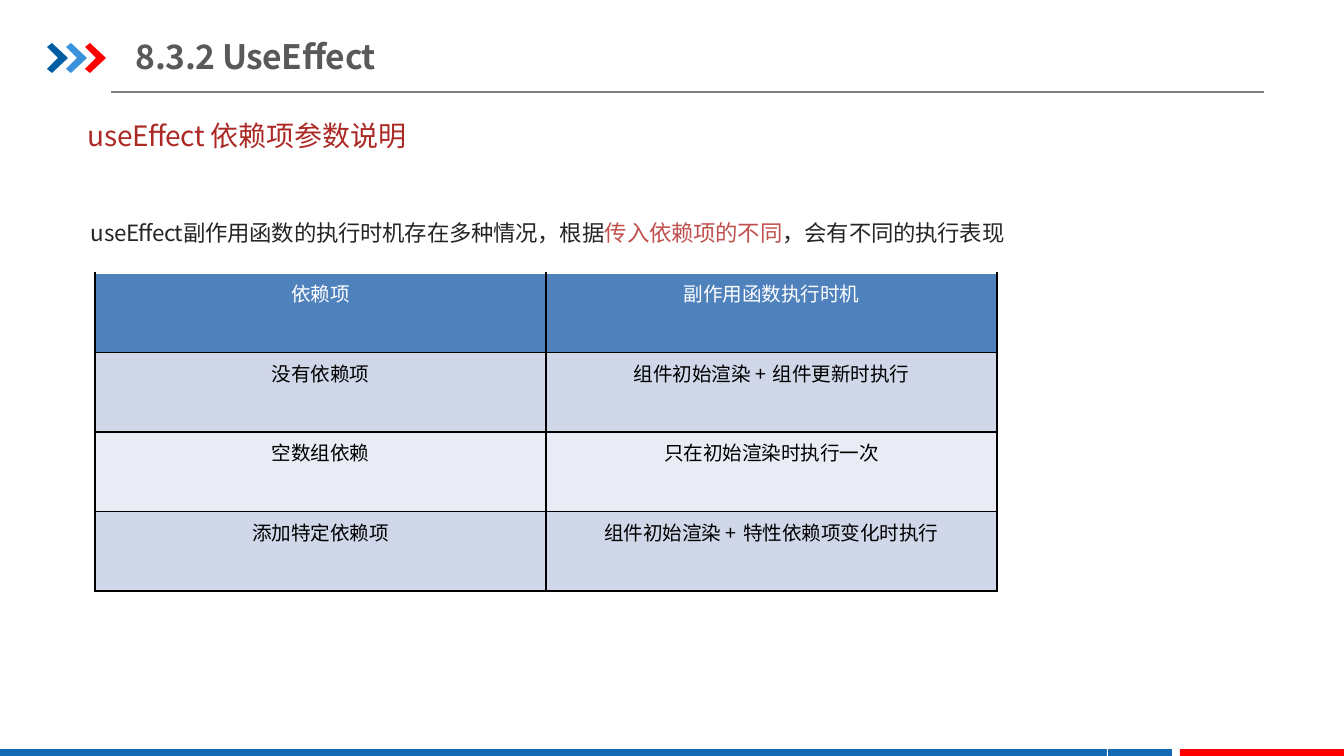
"""Builds the slide on the dependency argument of useEffect."""
from dataclasses import dataclass

from lxml.etree import SubElement
from pptx import Presentation
from pptx.dml.color import RGBColor
from pptx.enum.shapes import MSO_CONNECTOR, MSO_SHAPE
from pptx.enum.text import MSO_ANCHOR, PP_ALIGN
from pptx.oxml.ns import qn
from pptx.util import Pt

PX = 914400 / 100.8


def px(n):
    return round(n * PX)


@dataclass(frozen=True)
class Theme:
    font: str = "Noto Sans CJK SC"
    title: str = "595959"
    heading: str = "AC2A25"
    body: str = "252525"
    accent: str = "C0504D"
    rule: str = "808080"
    chevrons: tuple = ("005DA2", "3992DB", "FF0000")
    bar: str = "1369B2"
    bar_end: str = "FF0000"
    white: str = "FFFFFF"
    black: str = "000000"
    header: str = "4F81BC"
    bands: tuple = ("D0D7E8", "E9ECF4")
    title_pt: int = 24
    heading_pt: int = 20
    body_pt: int = 16
    cell_pt: int = 14


class SlideBuilder:
    def __init__(self, prs, theme):
        self.theme = theme
        self.s = prs.slides.add_slide(prs.slide_layouts[6])

    def paint(self, sp, color):
        sp.shadow.inherit = False
        sp.fill.solid()
        sp.fill.fore_color.rgb = RGBColor.from_string(color)
        sp.line.fill.background()

    def rect(self, x, y, w, h, color):
        sp = self.s.shapes.add_shape(MSO_SHAPE.RECTANGLE, px(x), px(y), px(w), px(h))
        self.paint(sp, color)

    def outline(self, points, color):
        builder = self.s.shapes.build_freeform(*points[0], scale=PX)
        builder.add_line_segments(points[1:], close=True)
        self.paint(builder.convert_to_shape(), color)

    def line(self, x1, y1, x2, y2, color, width):
        c = self.s.shapes.add_connector(MSO_CONNECTOR.STRAIGHT, px(x1), px(y1), px(x2), px(y2))
        c.line.color.rgb = RGBColor.from_string(color)
        c.line.width = Pt(width)
        SubElement(c._element.spPr, qn("a:effectLst"))

    def text_frame(self, x, y, w, h, insets=None):
        tf = self.s.shapes.add_textbox(px(x), px(y), px(w), px(h)).text_frame
        tf.word_wrap = True
        if insets:
            tf.margin_left, tf.margin_top, tf.margin_right, tf.margin_bottom = map(px, insets)
        return tf

    def paragraph(self, p, runs, size, before, indent=0, bold=False, align=PP_ALIGN.LEFT):
        p.alignment = align
        p.space_before = Pt(before)
        p._p.get_or_add_pPr().set("marL", str(px(indent)))
        for text, color, spacing in runs:
            r = p.add_run()
            r.text = text
            r.font.name = self.theme.font
            r.font.size = Pt(size)
            r.font.bold = bold
            r.font.color.rgb = RGBColor.from_string(color)
            rPr = r._r.get_or_add_rPr()
            rPr.set("spc", str(round(spacing * 100)))
            SubElement(rPr, qn("a:ea"), typeface=self.theme.font)

    def borders(self, cell, sides):
        tcPr = cell._tc.get_or_add_tcPr()
        for i, side in enumerate(sides):
            ln = SubElement(tcPr, qn(f"a:ln{side}"), w=str(Pt(1)))
            fill = SubElement(ln, qn("a:solidFill"))
            SubElement(fill, qn("a:srgbClr"), val=self.theme.black)
            tcPr.remove(ln)
            tcPr.insert(i, ln)

    def table(self, x, y, w, h, rows):
        t = self.theme
        frame = self.s.shapes.add_table(len(rows), len(rows[0]), px(x), px(y), px(w), px(h))
        for i, row in enumerate(rows):
            for j, parts in enumerate(row):
                cell = frame.table.cell(i, j)
                cell.fill.solid()
                fill = t.bands[(i - 1) % 2] if i else t.header
                cell.fill.fore_color.rgb = RGBColor.from_string(fill)
                cell.margin_left = cell.margin_right = cell.margin_bottom = 0
                cell.margin_top = px(6)
                cell.vertical_anchor = MSO_ANCHOR.TOP
                self.borders(cell, "LRTB" if i else "LRB")
                color = t.black if i else t.white
                runs = [(part, color, 0.8 if part == "+ " else -0.1) for part in parts]
                self.paragraph(cell.text_frame.paragraphs[0], runs, t.cell_pt, 4.2,
                               align=PP_ALIGN.CENTER)


def main():
    prs = Presentation()
    prs.slide_width, prs.slide_height = px(1344), px(756)
    t = Theme()
    b = SlideBuilder(prs, t)

    b.line(111, 92, 1264, 92, t.rule, 0.75)
    chevron = [(47, 47), (52, 43), (68, 58), (52, 73), (47, 69), (58, 58)]
    for i, color in enumerate(t.chevrons):
        b.outline([(x + 19 * i, y) for x, y in chevron], color)

    b.rect(0, 749, 1172, 9, t.bar)
    b.rect(1180, 749, 164, 9, t.bar_end)
    b.outline([(0, 747), (1108, 747), (1108, 756), (1107, 756), (1107, 748), (0, 748)], t.white)

    tf = b.text_frame(87, 117, 930, 123, insets=(0, 1, 0, 0))
    b.paragraph(tf.paragraphs[0], [("useEffect ", t.heading, -0.3),
                                   ("依赖项参数说明", t.heading, -0.1)],
                t.heading_pt, 1.1, indent=1)
    b.paragraph(tf.add_paragraph(), [("useEffect", t.body, -0.3),
                                     ("副作用函数的执行时机存在多种情况，根据", t.body, -0.1),
                                     ("传入依赖项的不同", t.accent, -0.1),
                                     ("，会有不同的执行表现", t.body, -0.1)],
                t.body_pt, 48, indent=4)

    b.table(95, 273, 902, 318, [
        [["依赖项"], ["副作用函数执行时机"]],
        [["没有依赖项"], ["组件初始渲染 ", "+ ", "组件更新时执行"]],
        [["空数组依赖"], ["只在初始渲染时执行一次"]],
        [["添加特定依赖项"], ["组件初始渲染 ", "+ ", "特性依赖项变化时执行"]],
    ])

    tf = b.text_frame(125, 31, 672, 50)
    b.paragraph(tf.paragraphs[0], [("8.3.2 UseEffect", t.title, -0.3)],
                t.title_pt, 1.1, indent=1, bold=True)

    prs.save("out.pptx")


if __name__ == "__main__":
    main()
